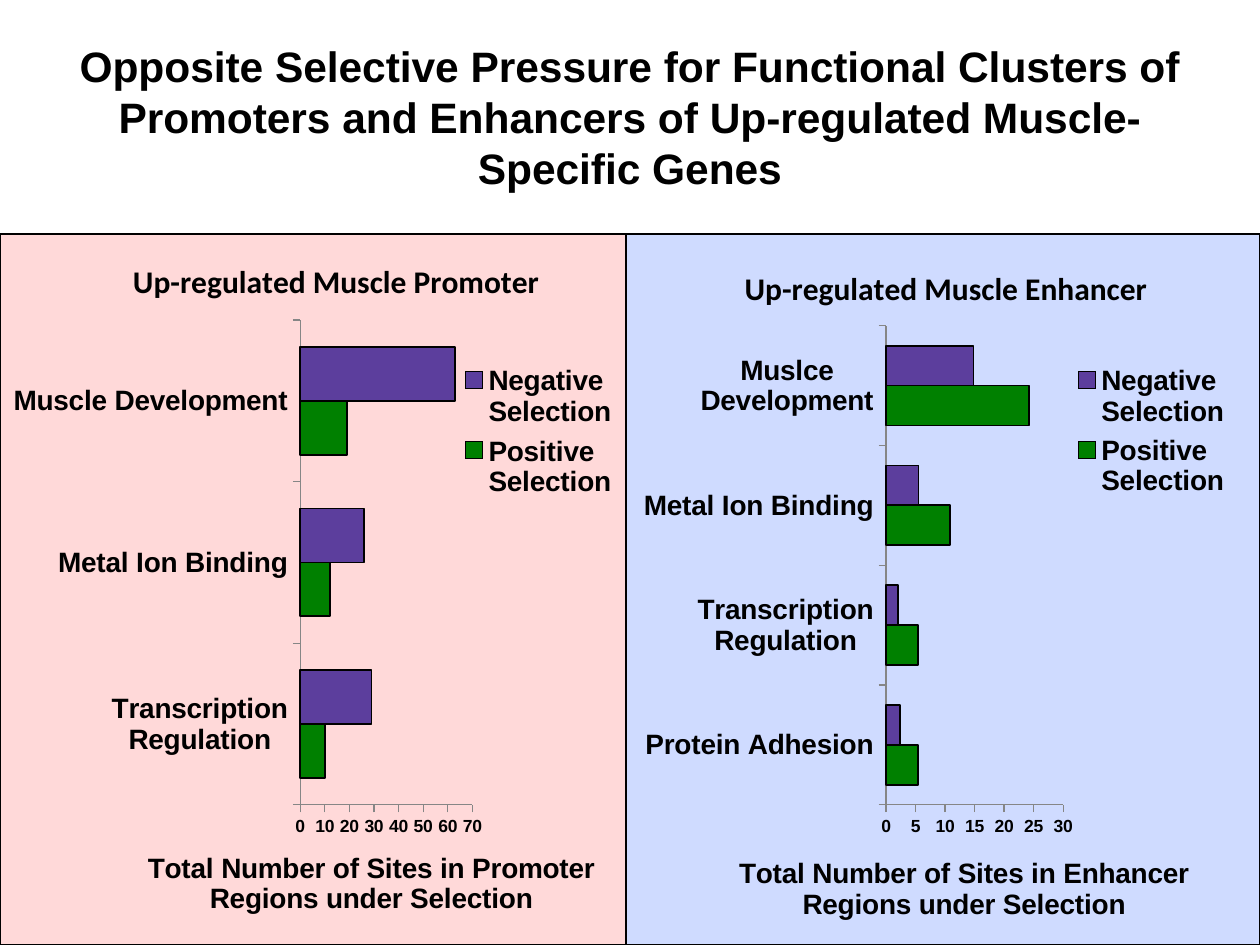
from dataclasses import dataclass

from lxml import etree
from pptx import Presentation
from pptx import util as u
from pptx.chart.data import CategoryChartData
from pptx.dml.color import RGBColor
from pptx.enum import chart as ch, shapes, text
from pptx.oxml.ns import qn

COLORS = {
    "black": "000000",
    "axis": "868686",
    "promoter": "FF0000",
    "enhancer": "3366FF",
    "Negative Selection": "5C3E9D",
    "Positive Selection": "008000",
}


@dataclass
class Panel:
    color: str
    opacity: int
    box: tuple          # left, top, width, height in cm
    chart_box: tuple
    title: str
    axis_title: str
    categories: list
    series: dict
    scale: tuple        # maximum, major unit
    layouts: dict       # fractions of the chart area


PANELS = [
    Panel("enhancer", 23, (12.62, 4.72, 12.78, 14.33), (12.73, 4.85, 12.67, 14.2),
          "Up-regulated Muscle Enhancer",
          "Total Number of Sites in Enhancer Regions under Selection",
          ["Protein Adhesion", "Transcription Regulation",
           "Metal Ion Binding", "Muslce Development"],
          {"Negative Selection": (2.4, 2, 5.5, 14.8),
           "Positive Selection": (5.4, 5.4, 10.8, 24.2)},
          (30, 5),
          {"plot": (0.405, 0.121, 0.282, 0.68), "legend": (0.702, 0.165, 0.25, 0.211),
           "title": (0.171, 0.028), "axis": (0.163, 0.866)}),
    Panel("promoter", 15, (0, 4.72, 12.62, 14.33), (0, 4.72, 13.51, 14.33),
          "Up-regulated Muscle Promoter",
          "Total Number of Sites in Promoter Regions under Selection",
          ["Transcription Regulation", "Metal Ion Binding", "Muscle Development"],
          {"Negative Selection": (29, 26, 63),
           "Positive Selection": (10, 12, 19)},
          (70, 10),
          {"plot": (0.448, 0.121, 0.257, 0.682), "legend": (0.686, 0.172, 0.235, 0.211),
           "title": (0.19, 0.028), "axis": (0.213, 0.86)}),
]


def rgb(name: str) -> RGBColor:
    return RGBColor.from_string(COLORS[name])


def set_font(font, size: float, name: str = "Arial", bold: bool = True) -> None:
    for key, value in {"size": u.Pt(size), "name": name, "bold": bold}.items():
        setattr(font, key, value)
    font.color.rgb = rgb("black")


def set_line(line, color: str, width: float) -> None:
    line.color.rgb = rgb(color)
    line.width = u.Pt(width)


def set_layout(element, position: tuple, after: str = "", inner: bool = False) -> None:
    """Place a chart part by fractions of the chart area."""
    for old in element.findall(qn("c:layout")):
        element.remove(old)
    layout = etree.Element(qn("c:layout"))
    manual = etree.SubElement(layout, qn("c:manualLayout"))
    values = {"layoutTarget": "inner"} if inner else {}
    values.update(xMode="edge", yMode="edge")
    values.update(zip("xywh", position))
    for tag, value in values.items():
        etree.SubElement(manual, qn(f"c:{tag}")).set("val", str(value))
    if after:
        element.find(qn(after)).addnext(layout)
    else:
        element.insert(0, layout)


def add_background(slide, panel: Panel) -> None:
    sp = slide.shapes.add_shape(shapes.MSO_SHAPE.RECTANGLE, *map(u.Cm, panel.box))
    sp.shadow.inherit = False
    sp.fill.solid()
    sp.fill.fore_color.rgb = rgb(panel.color)
    color = sp.fill._xPr.find(".//" + qn("a:srgbClr"))
    etree.SubElement(color, qn("a:alpha")).set("val", str(panel.opacity * 1000))
    set_line(sp.line, "black", 0.75)


def add_title(owner, words: str, size: float, font: str) -> None:
    p = owner.text_frame.paragraphs[0]
    r = p.add_run()
    r.text = words
    set_font(r.font, size, font)


def add_bar_chart(slide, panel: Panel) -> None:
    data = CategoryChartData(number_format="General")
    data.categories = panel.categories
    for name, values in panel.series.items():
        data.add_series(name, values)
    chart = slide.shapes.add_chart(ch.XL_CHART_TYPE.BAR_CLUSTERED,
                                   *map(u.Cm, panel.chart_box), data).chart
    set_font(chart.font, 10, "Calibri", False)
    root = chart.element.find(qn("c:chart"))
    area = root.find(qn("c:plotArea"))

    # Bars
    plot = chart.plots[0]
    plot.gap_width = 100
    plot.vary_by_categories = False
    for s in plot.series:
        s.format.fill.solid()
        s.format.fill.fore_color.rgb = rgb(s.name)
        set_line(s.format.line, "black", 1)
    # The last element is drawn uppermost in each group
    negative, positive = area.findall(".//" + qn("c:ser"))
    positive.addnext(negative)

    # Axes
    for axis, size in ((chart.category_axis, 16), (chart.value_axis, 10)):
        axis.has_major_gridlines = False
        axis.major_tick_mark = ch.XL_TICK_MARK.OUTSIDE
        set_font(axis.tick_labels.font, size)
        set_line(axis.format.line, "axis", 0.75)
    axis = chart.value_axis
    axis.minimum_scale = 0
    axis.maximum_scale, axis.major_unit = panel.scale
    axis.tick_labels.number_format = "0"
    axis.tick_labels.number_format_is_linked = False

    # Titles and legend
    add_title(chart.chart_title, panel.title, 18, "Calibri")
    add_title(axis.axis_title, panel.axis_title, 16, "Arial")
    chart.has_legend = True
    legend = chart.legend
    legend.position = ch.XL_LEGEND_POSITION.RIGHT
    legend.include_in_layout = False
    set_font(legend.font, 16)

    # Placement inside the chart
    set_layout(area, panel.layouts["plot"], inner=True)
    set_layout(root.find(qn("c:legend")), panel.layouts["legend"], "c:legendPos")
    set_layout(root.find(qn("c:title")), panel.layouts["title"], "c:tx")
    set_layout(area.find(qn("c:valAx")).find(qn("c:title")),
               panel.layouts["axis"], "c:tx")


def add_heading(slide, words: str) -> None:
    sp = slide.shapes.title
    sp.left, sp.top, sp.width, sp.height = map(u.Cm, (1.27, 0.76, 22.86, 3.18))
    tf = sp.text_frame
    tf.word_wrap = True
    tf.auto_size = text.MSO_AUTO_SIZE.NONE
    tf.vertical_anchor = text.MSO_ANCHOR.MIDDLE
    add_title(sp, words, 24.3, "Arial")
    tf.paragraphs[0].alignment = text.PP_ALIGN.CENTER


def main() -> None:
    prs = Presentation()
    prs.slide_width, prs.slide_height = u.Cm(25.4), u.Cm(19.05)
    slide = prs.slides.add_slide(prs.slide_layouts[5])
    add_heading(slide, "Opposite Selective Pressure for Functional Clusters of "
                       "Promoters and Enhancers of Up-regulated Muscle-Specific Genes")
    for panel in PANELS:
        add_background(slide, panel)
    for panel in reversed(PANELS):
        add_bar_chart(slide, panel)
    prs.save("out.pptx")


if __name__ == "__main__":
    main()
